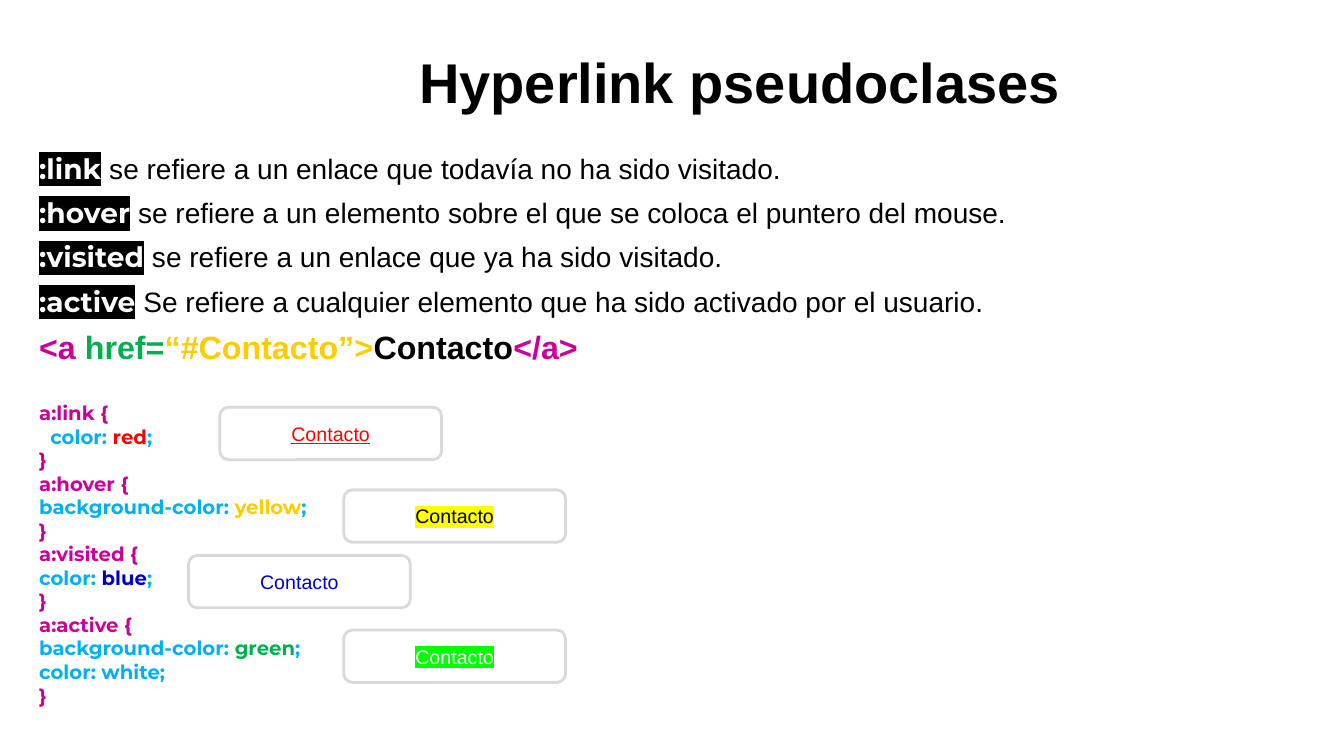
from lxml import etree
from pptx import Presentation
from pptx.dml.color import RGBColor
from pptx.enum.shapes import MSO_SHAPE
from pptx.enum.text import MSO_ANCHOR, MSO_AUTO_SIZE, PP_ALIGN
from pptx.oxml.ns import qn
from pptx.util import Pt

PX = 9144  # 100 px to the inch
CENTER = PP_ALIGN.CENTER
MIDDLE = MSO_ANCHOR.MIDDLE
GROW = MSO_AUTO_SIZE.SHAPE_TO_FIT_TEXT
ROUNDED = MSO_SHAPE.ROUNDED_RECTANGLE

BLACK, WHITE, GRAY = "000000", "FFFFFF", "D9D9D9"
MAGENTA, CYAN, GREEN, GOLD = "CC0099", "00B0F0", "00B050", "FFCC00"
RED, BLUE, YELLOW, LIME = "FF0000", "0000CC", "FFFF00", "00FF00"

DEFINITIONS = [
    (":link", "se refiere a un enlace que todavía no ha sido visitado."),
    (":hover", "se refiere a un elemento sobre el que se coloca el puntero del mouse."),
    (":visited", "se refiere a un enlace que ya ha sido visitado."),
    (":active", "Se refiere a cualquier elemento que ha sido activado por el usuario."),
]
ANCHOR_TAG = [("<a ", MAGENTA), ("href=", GREEN), ("“#Contacto”>", GOLD),
              ("Contacto", BLACK), ("</a>", MAGENTA)]

# selector, then declarations as (property, value, value colour)
RULES = [
    ("a:link", [("  color: ", "red", RED)]),
    ("a:hover", [("background-color: ", "yellow", GOLD)]),
    ("a:visited", [("color: ", "blue", BLUE)]),
    ("a:active", [("background-color: ", "green", GREEN),
                  ("color: ", "white", CYAN)]),
]

# left, top, text colour, highlight, underline
BUTTONS = [
    (218, 404, RED, None, True),
    (341, 486, BLACK, YELLOW, False),
    (187, 551, BLUE, None, False),
    (341, 625, WHITE, LIME, False),
]


def rgb(color):
    return RGBColor.from_string(color)


def style(r, size, color, font="Arial", bold=False, highlight=None):
    r.font.size = Pt(size)
    r.font.bold = bold
    r.font.color.rgb = rgb(color)
    r.font.name = font
    if highlight:
        mark = etree.Element(qn("a:highlight"))
        etree.SubElement(mark, qn("a:srgbClr")).set("val", highlight)
        r.font._element.find(qn("a:latin")).addprevious(mark)


def add_run(p, text, *args, **kwargs):
    r = p.add_run()
    r.text = text
    style(r, *args, **kwargs)


def add_text_frame(s, x, y, w, h):
    tf = s.shapes.add_textbox(x * PX, y * PX, w * PX, h * PX).text_frame
    tf.word_wrap = True
    return tf


def paragraphs(tf):
    """Yield the first paragraph of a frame, then new ones."""
    yield tf.paragraphs[0]
    while True:
        yield tf.add_paragraph()


def add_definitions(s, x, y, w, h):
    tf = add_text_frame(s, x, y, w, h)
    new = paragraphs(tf)
    for selector, meaning in DEFINITIONS:
        p = next(new)
        add_run(p, selector, 20, WHITE, "Montserrat", True, BLACK)
        add_run(p, " ", 20, WHITE, "Montserrat", True)
        add_run(p, meaning, 20, BLACK)
    p = next(new)
    for text, color in ANCHOR_TAG:
        add_run(p, text, 23, color, bold=True)
    for i, p in enumerate(tf.paragraphs):
        p.line_spacing = 0.9
        p.space_before = Pt(10 if i else 0)


def add_title(s, x, y, w, h):
    tf = add_text_frame(s, x, y, w, h)
    tf.auto_size = GROW
    tf.text = "Hyperlink pseudoclases"
    p = tf.paragraphs[0]
    p.alignment = CENTER
    style(p.runs[0], 40, BLACK, bold=True)


def add_css(s, x, y, w, h):
    tf = add_text_frame(s, x, y, w, h)
    tf.auto_size = GROW
    lines = []
    for selector, declarations in RULES:
        lines.append([(selector + " {", MAGENTA)])
        for name, value, color in declarations:
            lines.append([(name, CYAN), (value, color), (";", CYAN)])
        lines.append([("}", MAGENTA)])
    for line, p in zip(lines, paragraphs(tf)):
        for text, color in line:
            add_run(p, text, 14, color, "Montserrat", True)


def add_button(s, x, y, w, h, color, highlight, underline):
    sp = s.shapes.add_shape(ROUNDED, x * PX, y * PX, w * PX, h * PX)
    sp.shadow.inherit = False
    sp.fill.solid()
    sp.fill.fore_color.rgb = rgb(WHITE)
    sp.line.color.rgb = rgb(GRAY)
    sp.line.width = Pt(2)
    tf = sp.text_frame
    tf.vertical_anchor = MIDDLE
    tf.text = "Contacto"
    p = tf.paragraphs[0]
    p.alignment = CENTER
    style(p.runs[0], 14, color, highlight=highlight)
    p.runs[0].font.underline = underline


def main():
    prs = Presentation()
    prs.slide_width, prs.slide_height = 1333 * PX, 750 * PX
    s = prs.slides.add_slide(prs.slide_layouts[6])
    add_definitions(s, 29, 149, 1304, 601)
    add_title(s, 67, 42, 1333, 77)
    add_css(s, 29, 393, 378, 374)
    for x, y, color, highlight, underline in BUTTONS:
        add_button(s, x, y, 220, 52, color, highlight, underline)
    prs.save("out.pptx")


if __name__ == "__main__":
    main()
